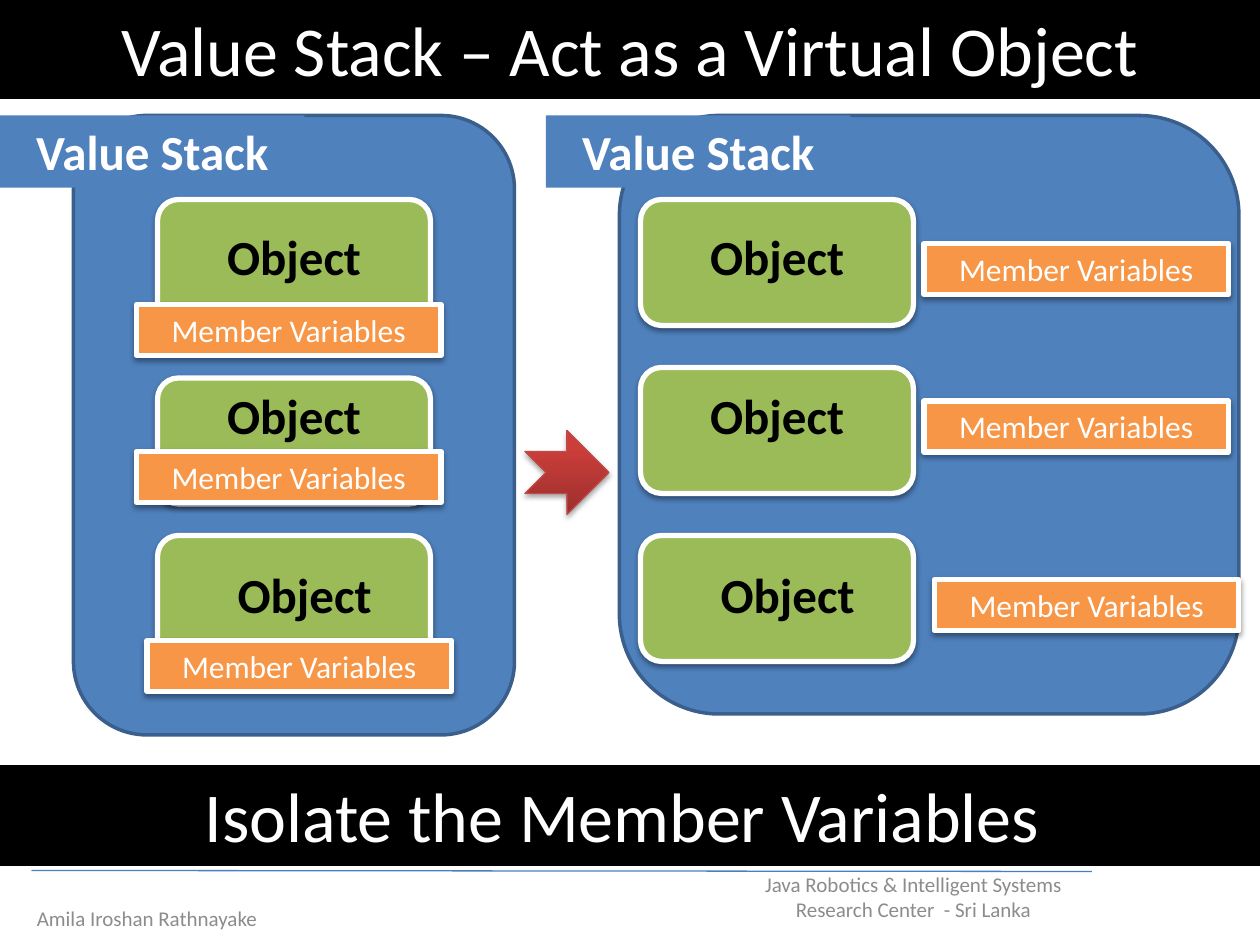
from dataclasses import dataclass
from typing import Optional

from lxml import etree
from pptx import Presentation
from pptx.dml.color import RGBColor as RGB
from pptx.enum.shapes import MSO_CONNECTOR as Conn, MSO_SHAPE as Shape
from pptx.enum.text import MSO_ANCHOR as Anchor, MSO_AUTO_SIZE as Fit, PP_ALIGN as Align
from pptx.oxml.ns import qn
from pptx.util import Inches, Pt

COLS, ROWS = 120, 90


@dataclass(frozen=True)
class Theme:
    font: str = "Calibri"
    black: str = "000000"
    white: str = "FFFFFF"
    grey: str = "8C8C8C"
    blue: str = "4F81BD"
    blue_edge: str = "3A5F8C"
    rule: str = "4B7EBC"
    green: str = "9BBB59"
    orange: str = "F79646"
    red_dark: str = "9C2F2D"
    red_light: str = "CB3E3A"
    red_edge: str = "BF4C48"
    title: int = 40
    heading: int = 28
    member: int = 18
    footer: int = 12


@dataclass(frozen=True)
class Box:
    """A place on the grid, in columns and rows."""
    col: float
    row: float
    cols: float
    rows: float


@dataclass(frozen=True)
class Shadow:
    alpha: int
    distance: float
    blur: float = 3.1


@dataclass(frozen=True)
class Stack:
    panel: Box
    card_col: float
    card_rows: tuple
    member_col: float
    member_rows: tuple


T = Theme()
SOFT = Shadow(38, 1.6)
SHIFTS = (0, 0, 1)  # the third caption and member bar sit one column further right
CAPTION_ROWS = (21, 36.1, 53.2)

STACKS = (
    Stack(Box(7, 11, 42, 59), 15, (19, 36, 51), 13, (29, 43, 61)),
    Stack(Box(59, 11, 59, 57), 61, (19, 35, 51), 88, (23.2, 38.2, 55.2)),
)

prs = Presentation()
prs.slide_width, prs.slide_height = Inches(10), Inches(7.5)
s = prs.slides.add_slide(prs.slide_layouts[6])


def x(col: float) -> int:
    return round(prs.slide_width * col / COLS)


def y(row: float) -> int:
    return round(prs.slide_height * row / ROWS)


def place(box: Box) -> tuple:
    return x(box.col), y(box.row), x(box.cols), y(box.rows)


def add_shadow(sp, shadow: Shadow) -> None:
    effects = sp._element.spPr.find(qn("a:effectLst"))
    outer = etree.SubElement(effects, qn("a:outerShdw"), blurRad=str(Pt(shadow.blur)),
                             dist=str(Pt(shadow.distance)), dir="5400000", rotWithShape="0")
    color = etree.SubElement(outer, qn("a:srgbClr"), val=T.black)
    etree.SubElement(color, qn("a:alpha"), val=str(shadow.alpha * 1000))


def write(sp, text: str, size: int, color: str, bold: bool = False,
          anchor: Anchor = Anchor.TOP, fit: Fit = Fit.SHAPE_TO_FIT_TEXT) -> None:
    tf = sp.text_frame
    for name, value in {"word_wrap": True, "vertical_anchor": anchor, "auto_size": fit}.items():
        setattr(tf, name, value)
    p = tf.paragraphs[0]
    p.alignment = Align.CENTER
    r = p.add_run()
    r.text = text
    for name, value in {"name": T.font, "size": Pt(size), "bold": bold}.items():
        setattr(r.font, name, value)
    r.font.color.rgb = RGB.from_string(color)


def add_box(kind: Shape, box: Box, fill: Optional[str], edge: Optional[str] = None,
            width: float = 2, shadow: Optional[Shadow] = None):
    sp = s.shapes.add_shape(kind, *place(box))
    sp.shadow.inherit = False
    if fill:
        sp.fill.solid()
        sp.fill.fore_color.rgb = RGB.from_string(fill)
    if edge:
        sp.line.color.rgb = RGB.from_string(edge)
        sp.line.width = Pt(width)
    else:
        sp.line.fill.background()
    if shadow:
        add_shadow(sp, shadow)
    return sp


def add_banner(row: float, text: str) -> None:
    bar = add_box(Shape.RECTANGLE, Box(0, row, COLS, 9.3), T.black, T.black)
    write(bar, text, T.title, T.white)


def add_footer(col: float, row: float, text: str) -> None:
    tb = s.shapes.add_textbox(*place(Box(col, row, 38, 4.8)))
    write(tb, text, T.footer, T.grey, anchor=Anchor.MIDDLE, fit=Fit.NONE)


def add_rule() -> None:
    line = s.shapes.add_connector(Conn.STRAIGHT, x(3), y(82.9), x(104), y(83))
    line.line.color.rgb = RGB.from_string(T.rule)
    line.line.width = Pt(0.75)
    etree.SubElement(line._element.spPr, qn("a:effectLst"))


def add_stack(stack: Stack) -> None:
    panel = stack.panel
    add_box(Shape.ROUNDED_RECTANGLE, panel, T.blue, T.blue_edge)
    for row in stack.card_rows:
        add_box(Shape.ROUNDED_RECTANGLE, Box(stack.card_col, row, 26, 12),
                T.green, T.white, 3, SOFT)
    for row, shift in zip(stack.member_rows, SHIFTS):
        bar = add_box(Shape.RECTANGLE, Box(stack.member_col + shift, row, 29, 4.85),
                      T.orange, T.white, 3, SOFT)
        write(bar, "Member Variables", T.member, T.white)
    for row, shift in zip(CAPTION_ROWS, SHIFTS):
        tb = s.shapes.add_textbox(*place(Box(stack.card_col + 5 + shift, row, 16, 6.87)))
        write(tb, "Object", T.heading, T.black, bold=True)
    label = add_box(Shape.RECTANGLE, Box(panel.col - 7, panel.row, 29, 6.87), T.blue)
    write(label, "Value Stack", T.heading, T.white, bold=True)


def add_arrow() -> None:
    arrow = add_box(Shape.NOTCHED_RIGHT_ARROW, Box(50, 41, 8, 8), None,
                    T.red_edge, 0.75, Shadow(35, 1.8))
    arrow.fill.gradient()
    arrow.fill.gradient_angle = 90
    stops = ((0, T.red_dark), (0.8, T.red_light))
    for stop, (position, color) in zip(arrow.fill.gradient_stops, stops):
        stop.position = position
        stop.color.rgb = RGB.from_string(color)


def main() -> None:
    add_banner(73, "Isolate the Member Variables ")
    add_footer(68, 83, "Java Robotics & Intelligent Systems Research Center  - Sri Lanka")
    add_footer(-5, 85, "Amila Iroshan Rathnayake")
    add_rule()
    add_banner(0, "Value Stack – Act as a Virtual Object")
    for stack in STACKS:
        add_stack(stack)
    add_arrow()
    prs.save("out.pptx")


if __name__ == "__main__":
    main()
